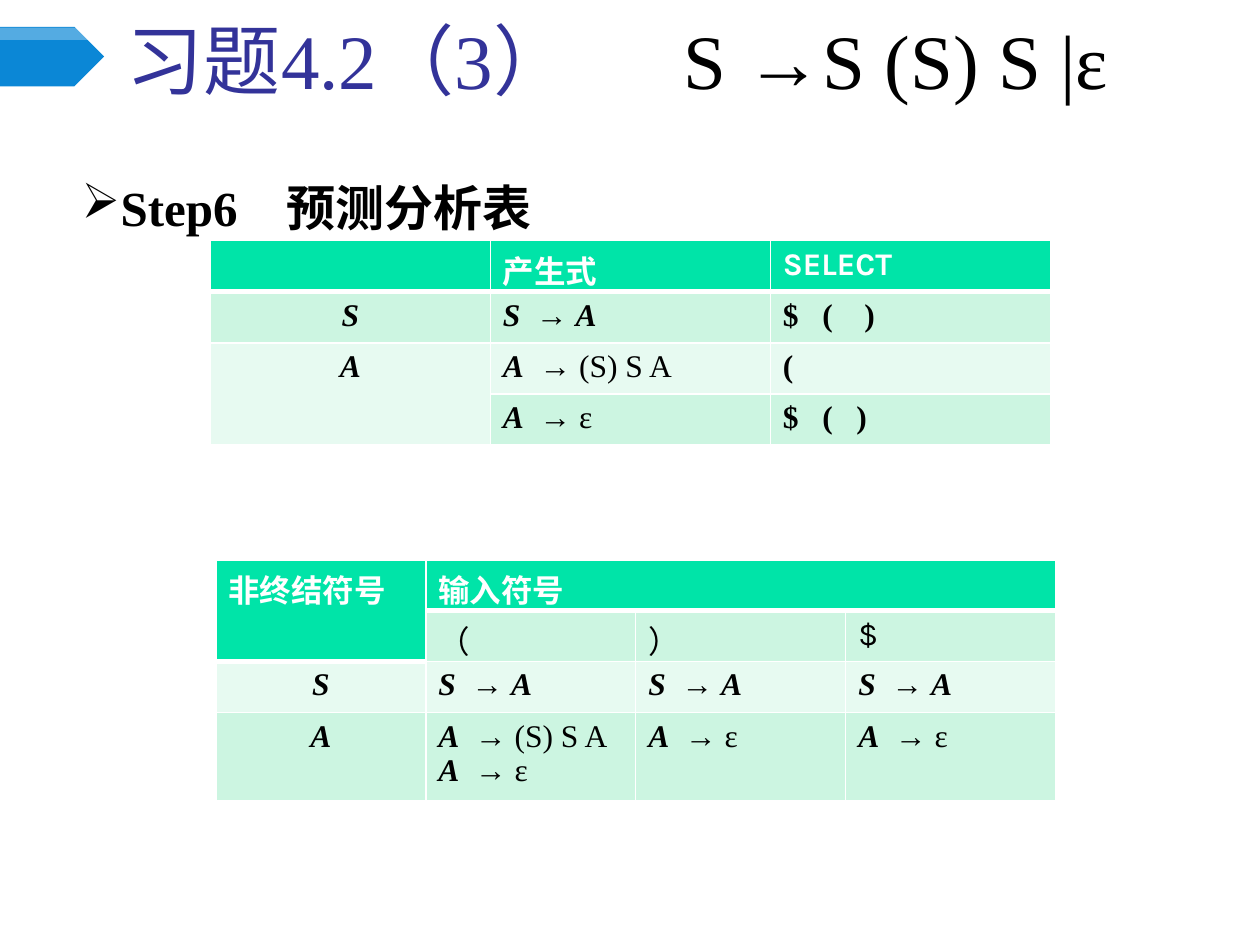
from dataclasses import dataclass

from lxml.etree import SubElement
from pptx import Presentation
from pptx.dml.color import RGBColor
from pptx.enum.shapes import MSO_SHAPE as Preset
from pptx.enum.text import MSO_ANCHOR as Anchor, PP_ALIGN as Align
from pptx.oxml.ns import qn
from pptx.util import Pt


@dataclass(frozen=True)
class Theme:
    white: str = "FFFFFF"
    black: str = "000000"
    blue: str = "0B87D6"
    indigo: str = "333399"
    header: str = "00E4A8"
    dark_band: str = "CCF5E1"
    light_band: str = "E7FAF1"
    serif: str = "Times New Roman"
    sans: str = "Karla"
    title_size: int = 44
    heading_size: int = 28
    cell_size: int = 18


THEME = Theme()


@dataclass(frozen=True)
class Run:
    text: str
    bold: bool = False
    italic: bool = False
    color: str = THEME.black
    font: str = THEME.serif
    size: int = THEME.cell_size
    spacing: float = 0  # extra points after each character


@dataclass(frozen=True)
class Cell:
    fill: str
    lines: tuple = ()
    align: Align = Align.LEFT
    rows: int = 1
    columns: int = 1


@dataclass(frozen=True)
class Grid:
    left: float
    top: float
    column_width: float
    row_heights: tuple
    cells: dict  # (row, column) -> Cell


# Text helpers
def add_runs(paragraph, runs: tuple) -> None:
    for item in runs:
        run = paragraph.add_run()
        run.text = item.text
        font = run.font
        font.name, font.size = item.font, Pt(item.size)
        font.bold, font.italic = item.bold, item.italic
        font.color.rgb = RGBColor.from_string(item.color)
        if item.spacing:
            run.font._element.set("spc", str(round(item.spacing * 100)))


def add_text_box(slide, left: float, top: float, width: float, height: float,
                 runs: tuple, anchor: Anchor):
    frame = slide.shapes.add_textbox(
        Pt(left), Pt(top), Pt(width), Pt(height)).text_frame
    frame.word_wrap = True
    frame.vertical_anchor = anchor
    add_runs(frame.paragraphs[0], runs)
    return frame.paragraphs[0]


def add_bullet(paragraph, character: str, indent: float) -> None:
    properties = paragraph._p.get_or_add_pPr()
    properties.set("marL", str(Pt(indent)))
    properties.set("indent", str(-Pt(indent)))
    SubElement(properties, qn("a:buChar")).set("char", character)


def add_pentagon(slide, top: float, height: float, color: str,
                 opacity: int = 100) -> None:
    shape = slide.shapes.add_shape(
        Preset.PENTAGON, Pt(0), Pt(top), Pt(59.5), Pt(height))
    shape.shadow.inherit = False
    shape.line.fill.background()
    shape.fill.solid()
    shape.fill.fore_color.rgb = RGBColor.from_string(color)
    if opacity < 100:
        rgb = shape._element.spPr.find(".//" + qn("a:srgbClr"))
        SubElement(rgb, qn("a:alpha")).set("val", str(opacity * 1000))


# Table helpers
def set_borders(cell, bottom: float) -> None:
    properties = cell._tc.get_or_add_tcPr()
    for side, width in (("L", 1), ("R", 1), ("T", 1), ("B", bottom)):
        line = SubElement(properties, qn("a:ln" + side), w=str(Pt(width)))
        fill = SubElement(line, qn("a:solidFill"))
        SubElement(fill, qn("a:srgbClr")).set("val", THEME.white)


def fill_cell(cell, content: Cell) -> None:
    set_borders(cell, 3 if content.fill == THEME.header else 1)
    cell.fill.solid()
    cell.fill.fore_color.rgb = RGBColor.from_string(content.fill)


def draw_grid(slide, grid: Grid) -> None:
    row_count = len(grid.row_heights)
    column_count = 1 + max(column for _, column in grid.cells)
    column_count = max(column_count, *(
        column + cell.columns for (_, column), cell in grid.cells.items()))
    table = slide.shapes.add_table(
        row_count, column_count, Pt(grid.left), Pt(grid.top),
        Pt(grid.column_width * column_count), Pt(sum(grid.row_heights))).table
    table.first_row = table.horz_banding = False
    for column in table.columns:
        column.width = Pt(grid.column_width)
    for row, height in zip(table.rows, grid.row_heights):
        row.height = Pt(height)
    for (row, column), content in grid.cells.items():
        for r in range(row, row + content.rows):
            for c in range(column, column + content.columns):
                fill_cell(table.cell(r, c), content)
        cell = table.cell(row, column)
        if content.rows * content.columns > 1:
            cell.merge(table.cell(row + content.rows - 1,
                                  column + content.columns - 1))
        frame = cell.text_frame
        for index, runs in enumerate(content.lines):
            paragraph = frame.add_paragraph() if index else frame.paragraphs[0]
            paragraph.alignment = content.align
            add_runs(paragraph, runs)


# Cell contents
def header(text: str = "", rows: int = 1, columns: int = 1) -> Cell:
    run = Run(text, bold=True, color=THEME.white, font=THEME.sans)
    return Cell(THEME.header, ((run,),) if text else (), Align.LEFT, rows, columns)


def symbol(name: str) -> Run:
    return Run(name, bold=True, italic=True)


def nonterminal(name: str, fill: str, rows: int = 1) -> Cell:
    return Cell(fill, ((symbol(name),),), Align.CENTER, rows)


def production(head: str, body: Run) -> tuple:
    return (symbol(head), Run(" ", bold=True, spacing=4.5),
            Run("→ ", bold=True), body)


def select_set(*parts: str, gaps: tuple = ()) -> tuple:
    runs = [Run(parts[0], bold=True)]
    for gap, part in zip(gaps, parts[1:]):
        runs += [Run(" ", bold=True, spacing=gap), Run(part, bold=True)]
    return tuple(runs)


def main() -> None:
    presentation = Presentation()
    presentation.slide_width, presentation.slide_height = Pt(720), Pt(540)
    slide = presentation.slides.add_slide(presentation.slide_layouts[6])
    dark, light = THEME.dark_band, THEME.light_band

    # Title marker
    add_pentagon(slide, 15.3, 34, THEME.blue)
    add_pentagon(slide, 15.8, 7, THEME.white, opacity=30)

    # Step heading and title
    size = THEME.heading_size
    heading = add_text_box(slide, 39.6, 93.6, 646.5, 384.5, (
        Run("Step6", bold=True, size=size),
        Run(" ", bold=True, size=size, spacing=21),
        Run("预测分析表", bold=True, size=size)), Anchor.TOP)
    heading.line_spacing = Pt(38)
    add_bullet(heading, "➢", 21.6)
    size = THEME.title_size
    add_text_box(slide, 65.5, 13, 639.5, 50.4, (
        Run("习题4.2（3）", color=THEME.indigo, size=size),
        Run(" ", size=size, spacing=55),
        Run("S →S (S) S |ε", size=size)), Anchor.BOTTOM)

    # Productions and their SELECT sets
    s_rule = production("S", symbol("A"))
    a_rule = production("A", Run("(S) S A"))
    empty_rule = production("A", Run("ε"))
    draw_grid(slide, Grid(120.2, 137.5, 160, (29.2,) * 4, {
        (0, 0): header(), (0, 1): header("产生式"), (0, 2): header("SELECT"),
        (1, 0): nonterminal("S", dark),
        (1, 1): Cell(dark, (s_rule,)),
        (1, 2): Cell(dark, (select_set("$", "(", ")", gaps=(9, 13.5)),)),
        (2, 0): nonterminal("A", light, rows=2),
        (2, 1): Cell(light, (a_rule,)),
        (2, 2): Cell(light, (select_set("("),)),
        (3, 1): Cell(dark, (empty_rule,)),
        (3, 2): Cell(dark, (select_set("$", "(", ")", gaps=(9, 9)),)),
    }))

    # Predictive parsing table
    cells = {(0, 0): header("非终结符号", rows=2),
             (0, 1): header("输入符号", columns=3),
             (2, 0): nonterminal("S", light), (3, 0): nonterminal("A", dark)}
    entries = (("（", (a_rule, empty_rule)), ("）", (empty_rule,)),
               ("$", (empty_rule,)))
    for column, (token, a_rules) in enumerate(entries, start=1):
        cells[1, column] = Cell(dark, ((Run(token, font=THEME.sans),),))
        cells[2, column] = Cell(light, (s_rule,))
        cells[3, column] = Cell(dark, a_rules)
    draw_grid(slide, Grid(123.3, 320, 120, (26, 29.2, 29.2, 29.2), cells))

    presentation.save("out.pptx")


if __name__ == "__main__":
    main()
